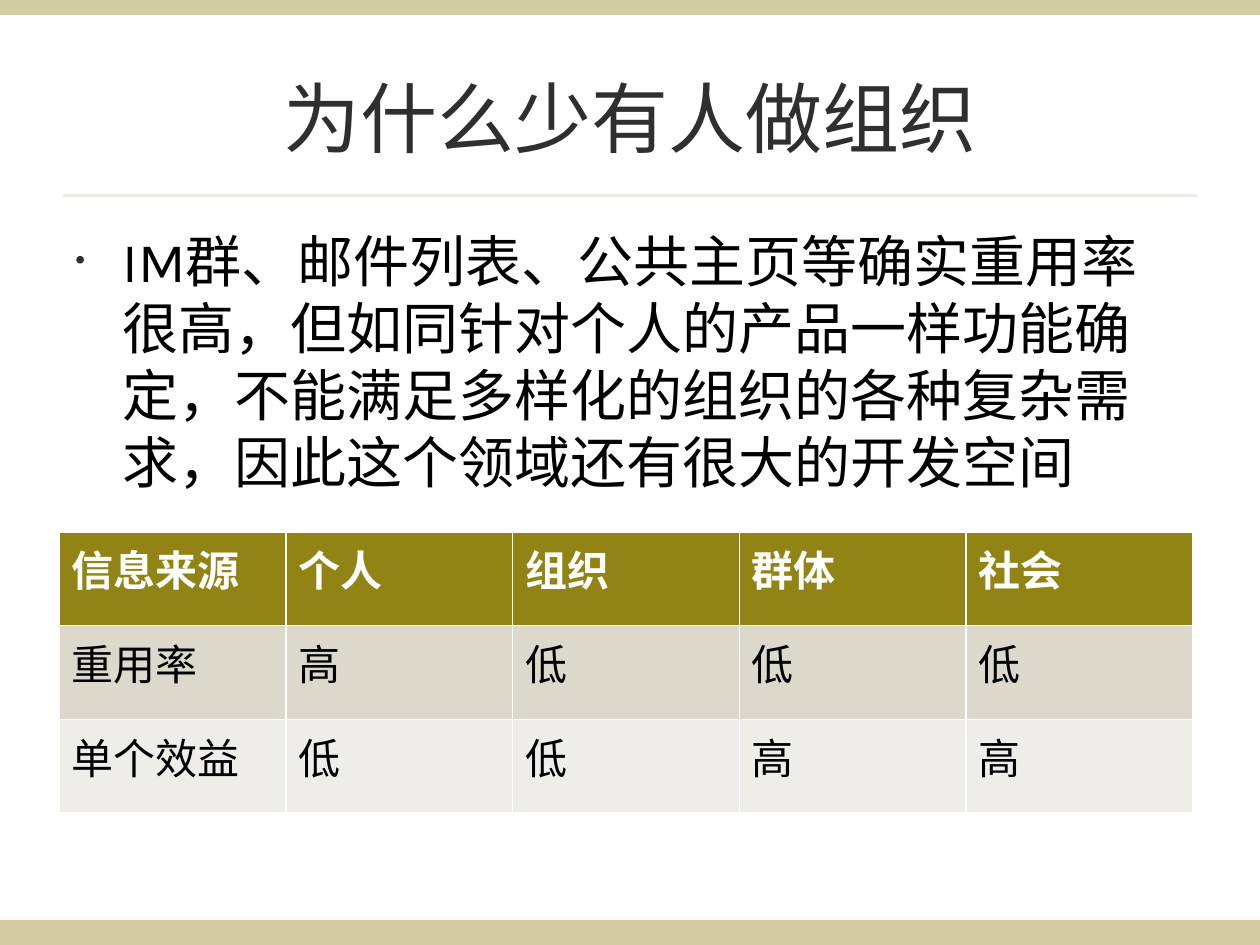
from lxml import etree
from pptx import Presentation
from pptx.dml.color import RGBColor
from pptx.enum.shapes import MSO_SHAPE
from pptx.enum.text import MSO_ANCHOR, PP_ALIGN
from pptx.oxml.ns import qn
from pptx.util import Emu, Pt

RECTANGLE = MSO_SHAPE.RECTANGLE
MIDDLE, TOP = MSO_ANCHOR.MIDDLE, MSO_ANCHOR.TOP
CENTER, LEFT = PP_ALIGN.CENTER, PP_ALIGN.LEFT
EMU_PER_PX = 914400 / 126
WIDTH, HEIGHT = 1260, 945
FONT = "Karla"
OLIVE, SAND, PALE = "918415", "DCD9CC", "EEEDE7"
CHARCOAL, BLACK, WHITE = "2F2F2F", "000000", "FFFFFF"

TITLE = "为什么少有人做组织"
POINT = (
    "IM群、邮件列表、公共主页等确实重用率很高，但如同针对个人的产品一样功能确定，"
    "不能满足多样化的组织的各种复杂需求，因此这个领域还有很大的开发空间"
)
SOURCES = [
    ["信息来源", "个人", "组织", "群体", "社会"],
    ["重用率", "高", "低", "低", "低"],
    ["单个效益", "低", "低", "高", "高"],
]
ROW_STYLES = [(OLIVE, WHITE, True), (SAND, BLACK, False), (PALE, BLACK, False)]


def px(length):
    """Turn pixels into EMU."""
    return Emu(round(length * EMU_PER_PX))


def paint(color_format, color):
    """Apply a hex colour to a colour format."""
    color_format.rgb = RGBColor.from_string(color)


def write(frame, text, size, color, bold=False, align=LEFT):
    """Set a frame's text and format its run; return the paragraph."""
    frame.text = text
    paragraph = frame.paragraphs[0]
    paragraph.alignment = align
    font = paragraph.runs[0].font
    font.name, font.size, font.bold = FONT, Pt(size), bold
    paint(font.color, color)
    return paragraph


def add_band(slide, box, color, opacity):
    """Draw a translucent strip in the box."""
    band = slide.shapes.add_shape(RECTANGLE, *map(px, box))
    band.shadow.inherit = False
    band.line.fill.background()
    band.fill.solid()
    paint(band.fill.fore_color, color)
    tint = band.fill._xPr.find(".//" + qn("a:srgbClr"))
    etree.SubElement(tint, qn("a:alpha"), val=str(opacity * 1000))


def add_frame(slide, box, anchor):
    """Add a wrapping text box and return its text frame."""
    frame = slide.shapes.add_textbox(*map(px, box)).text_frame
    frame.word_wrap = True
    frame.vertical_anchor = anchor
    return frame


def add_title(slide, box):
    """Place the centred title in the box."""
    write(add_frame(slide, box, MIDDLE), TITLE, 44, CHARCOAL, align=CENTER)


def add_point(slide, box):
    """Place the bulleted statement in the box."""
    paragraph = write(add_frame(slide, box, TOP), POINT, 32, BLACK)
    paragraph.space_before = Pt(8)
    properties = paragraph._p.get_or_add_pPr()
    indent = px(47)
    properties.set("marL", str(indent))
    properties.set("indent", str(-indent))
    bullet_color = etree.SubElement(properties, qn("a:buClr"))
    etree.SubElement(bullet_color, qn("a:srgbClr"), val=CHARCOAL)
    etree.SubElement(properties, qn("a:buSzPct"), val="50000")
    etree.SubElement(properties, qn("a:buFont"), typeface="Arial")
    etree.SubElement(properties, qn("a:buChar"), char="•")


def add_sources(slide, box):
    """Fill the box with the table comparing information sources."""
    rows, columns = len(SOURCES), len(SOURCES[0])
    table = slide.shapes.add_table(rows, columns, *map(px, box)).table
    for values, style, row in zip(SOURCES, ROW_STYLES, table.rows):
        fill, color, bold = style
        row.height = px(box[3] / rows)
        for value, cell in zip(values, row.cells):
            cell.fill.solid()
            paint(cell.fill.fore_color, fill)
            write(cell.text_frame, value, 24, color, bold)


def main():
    """Build and save the slide."""
    presentation = Presentation()
    presentation.slide_width, presentation.slide_height = px(WIDTH), px(HEIGHT)
    slide = presentation.slides.add_slide(presentation.slide_layouts[6])
    add_band(slide, (0, 920, WIDTH, 25), OLIVE, 40)
    add_band(slide, (0, 0, WIDTH, 15), OLIVE, 40)
    add_band(slide, (63, 194, 1134, 3), SAND, 50)
    add_title(slide, (63, 38, 1134, 157))
    add_point(slide, (63, 220, 1134, 646))
    add_sources(slide, (59, 532, 1134, 281))
    presentation.save("out.pptx")


if __name__ == "__main__":
    main()
